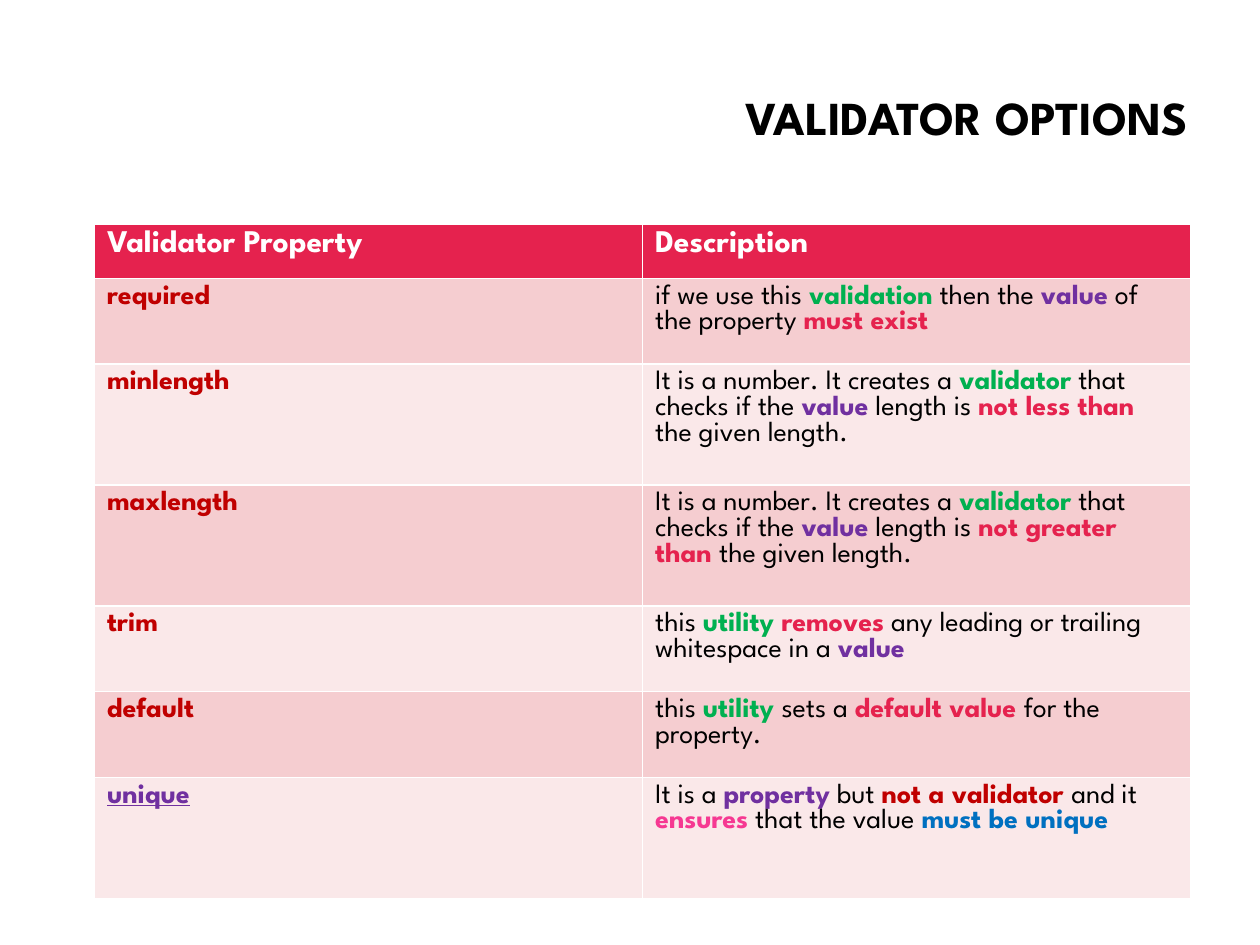
from pptx import Presentation
from pptx.dml.color import RGBColor
from pptx.enum.text import MSO_ANCHOR, MSO_AUTO_SIZE, PP_ALIGN
from pptx.util import Inches, Pt

FONT = "League Spartan"
COLORS = {
    "black": "000000", "white": "FFFFFF", "crimson": "E5224E",
    "red": "C00000", "green": "00B050", "purple": "7030A0",
    "pink": "F63892", "blue": "0070C0",
    "dark band": "F5CDD0", "light band": "FAE8E9",
}

TITLE = "VALIDATOR OPTIONS"
HEADERS = ["Validator Property", "Description"]


def length_rule(limit):
    """Description shared by the two length validators."""
    return [("It is a number. It creates a ", "black"), ("validator", "green"),
            (" that checks if the ", "black"), ("value", "purple"),
            (" length is ", "black"), (limit, "crimson"),
            ("the given length.", "black")]


# Property, its colour, row height, description as (text, colour) pieces
OPTIONS = [
    ("required", "red", 0.68, [
        ("if we use this ", "black"), ("validation", "green"),
        (" then the ", "black"), ("value", "purple"),
        (" of the property ", "black"), ("must exist", "crimson")]),
    ("minlength", "red", 0.96, length_rule("not less than ")),
    ("maxlength", "red", 0.96, length_rule("not greater than ")),
    ("trim", "red", 0.68, [
        ("this ", "black"), ("utility ", "green"), ("removes", "crimson"),
        (" any leading or trailing whitespace in a ", "black"),
        ("value", "purple")]),
    ("default", "red", 0.68, [
        ("this ", "black"), ("utility ", "green"), ("sets a ", "black"),
        ("default value ", "crimson"), ("for the property.", "black")]),
    ("unique", "purple", 0.96, [
        ("It is a ", "black"), ("property", "purple"), (" but ", "black"),
        ("not a validator ", "red"), ("and it ", "black"),
        ("ensures", "pink"), (" that the value ", "black"),
        ("must be unique", "blue")]),
]
HEADER_HEIGHT = 0.43
COLUMN_WIDTH = 4.35


def rgb(name):
    return RGBColor.from_string(COLORS[name])


def add_run(paragraph, text, size, color, bold=True):
    run = paragraph.add_run()
    run.text = text
    run.font.name = FONT
    run.font.size = Pt(size)
    run.font.bold = bold
    run.font.color.rgb = rgb(color)
    return run


def fill_cell(cell, pieces, size, fill):
    """Write coloured pieces; everything but black text is bold."""
    cell.fill.solid()
    cell.fill.fore_color.rgb = rgb(fill)
    paragraph = cell.text_frame.paragraphs[0]
    return [add_run(paragraph, text, size, color, color != "black")
            for text, color in pieces]


presentation = Presentation()
presentation.slide_width = Inches(10)
presentation.slide_height = Inches(7.5)
slide = presentation.slides.add_slide(presentation.slide_layouts[5])

# Title
title = slide.shapes.title
title.left, title.top = Inches(2.56), Inches(0.25)
title.width, title.height = Inches(6.97), Inches(1.41)
title.text_frame.auto_size = MSO_AUTO_SIZE.NONE
title.text_frame.vertical_anchor = MSO_ANCHOR.MIDDLE
title_paragraph = title.text_frame.paragraphs[0]
title_paragraph.alignment = PP_ALIGN.RIGHT
title_paragraph.line_spacing = 0.9
add_run(title_paragraph, TITLE, 27, "black")

# Table: the default style supplies the white borders
heights = [HEADER_HEIGHT] + [height for _, _, height, _ in OPTIONS]
table = slide.shapes.add_table(
    len(heights), len(HEADERS), Inches(0.75), Inches(1.78),
    Inches(COLUMN_WIDTH * len(HEADERS)), Inches(sum(heights))).table
for column in table.columns:
    column.width = Inches(COLUMN_WIDTH)
for row, height in zip(table.rows, heights):
    row.height = Inches(height)

# Header row
for index, header in enumerate(HEADERS):
    fill_cell(table.cell(0, index), [(header, "white")], 18, "crimson")

# Option rows in alternating bands
for index, (name, color, _, description) in enumerate(OPTIONS, start=1):
    band = "dark band" if index % 2 else "light band"
    name_run = fill_cell(table.cell(index, 0), [(name, color)], 16, band)[0]
    if name == "unique":
        name_run.font.underline = True
    fill_cell(table.cell(index, 1), description, 16, band)

presentation.save("out.pptx")
